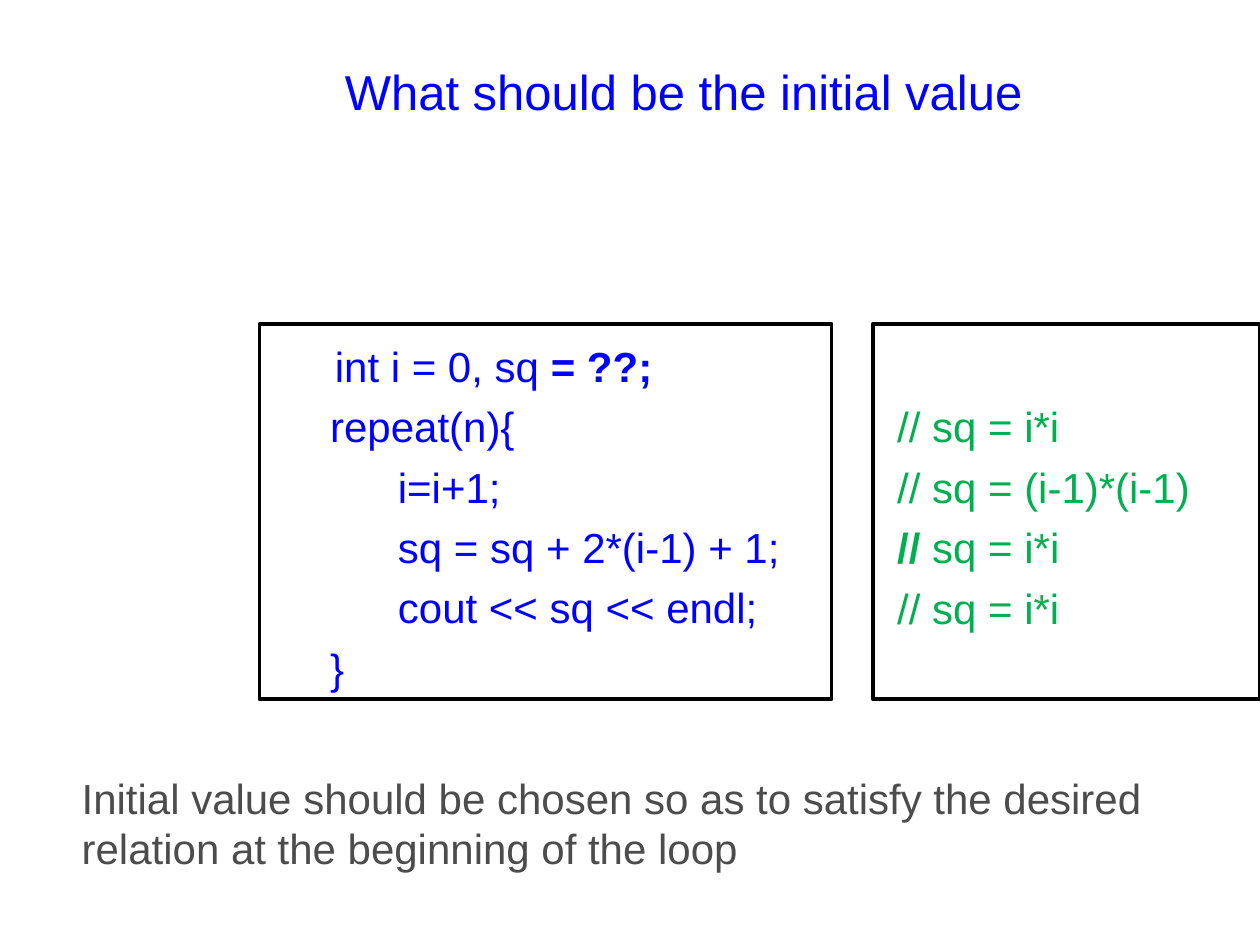
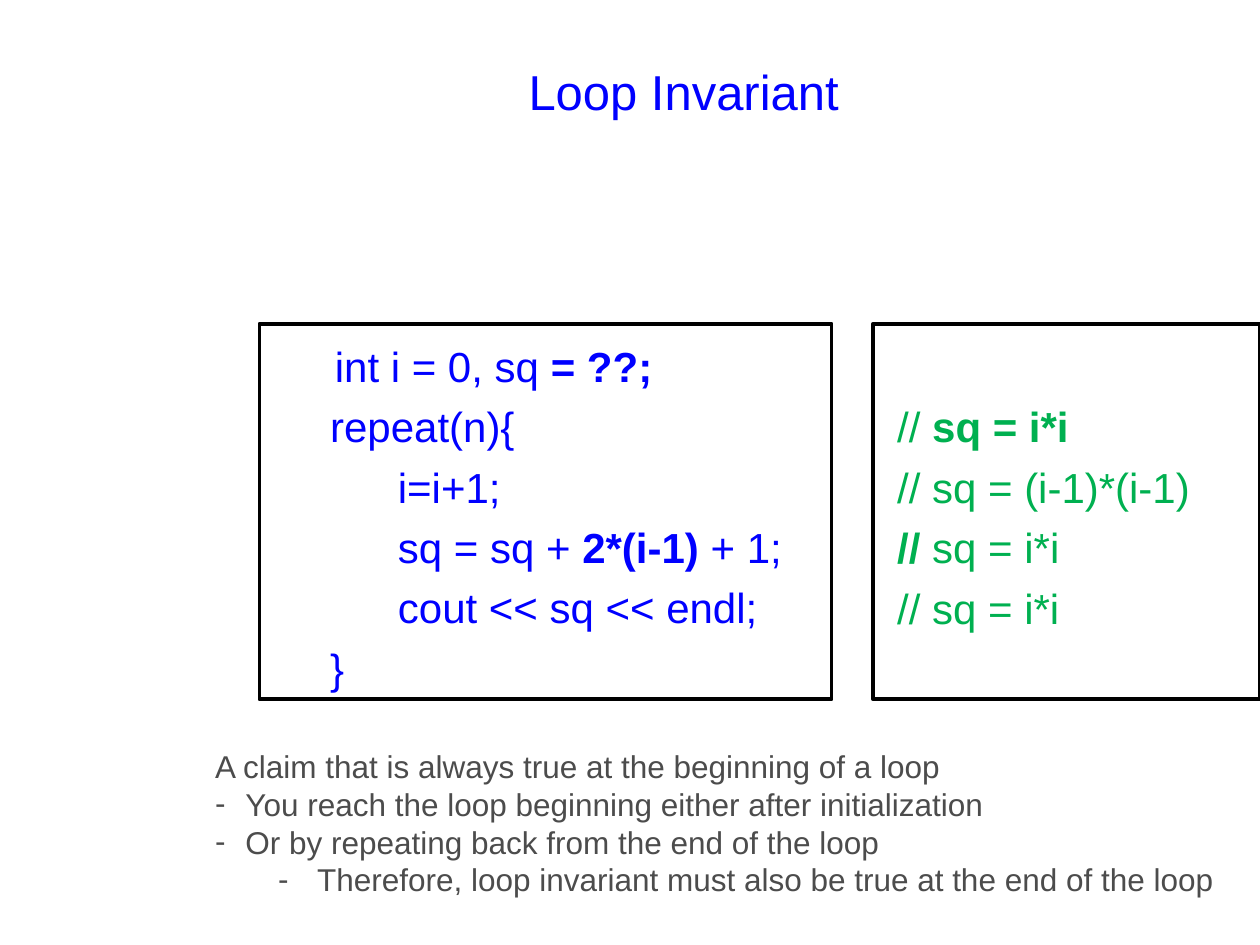
from lxml import etree
from pptx import Presentation
from pptx.dml.color import RGBColor
from pptx.enum.shapes import MSO_SHAPE
from pptx.enum.text import MSO_ANCHOR, MSO_AUTO_SIZE, PP_ALIGN
from pptx.oxml.ns import qn
from pptx.util import Inches, Pt

RECTANGLE = MSO_SHAPE.RECTANGLE
TOP = MSO_ANCHOR.TOP
GROW = MSO_AUTO_SIZE.SHAPE_TO_FIT_TEXT
LEFT, CENTER = PP_ALIGN.LEFT, PP_ALIGN.CENTER

FONT = "Arial"
COLORS = {"code": "0000FF", "comment": "00B050", "note": "4C4C4C", "frame": "000000"}

# Grid of 100 columns by 75 rows
COLUMNS, ROWS = 100, 75
WIDTH, HEIGHT = Inches(10), Inches(7.5)
PANEL_TOP, PANEL_ROWS = 25.7, 29.8
CODE_LEFT, CODE_COLUMNS = 20.6, 45.4
COMMENT_LEFT, COMMENT_COLUMNS = 69.3, 30.7
TAB_STEP = 0.5
CODE_LINE = 0.48  # height of one line of code, in inches


def on_grid(left, top, columns, rows):
    return (int(WIDTH * left / COLUMNS), int(HEIGHT * top / ROWS),
            int(WIDTH * columns / COLUMNS), int(HEIGHT * rows / ROWS))


def add_tabs(paragraph):
    tab_list = etree.SubElement(paragraph._p.get_or_add_pPr(), qn("a:tabLst"))
    for number in range(1, 8):
        etree.SubElement(tab_list, qn("a:tab"),
                         pos=str(Inches(number * TAB_STEP)), algn="l")


def add_dash(paragraph, margin, hanging):
    properties = paragraph._p.get_or_add_pPr()
    properties.set("marL", str(Inches(margin)))
    properties.set("indent", str(-Inches(hanging)))
    color = etree.SubElement(properties, qn("a:buClr"))
    etree.SubElement(color, qn("a:srgbClr"), val=COLORS["note"])
    etree.SubElement(properties, qn("a:buFont"), typeface=FONT)
    etree.SubElement(properties, qn("a:buChar"), char="-")


def add_runs(paragraph, runs, size, color):
    """Runs alternate between regular and bold, starting with regular."""
    for position, text in enumerate(runs):
        if not text:
            continue
        run = paragraph.add_run()
        run.text = text
        run.font.name = FONT
        run.font.size = Pt(size)
        run.font.bold = position % 2 == 1
        run.font.color.rgb = RGBColor.from_string(COLORS[color])


def next_paragraph(frame, index):
    return frame.add_paragraph() if index else frame.paragraphs[0]


def add_panel(slide, left, columns, lines, color, skipped_lines=0):
    panel = slide.shapes.add_shape(
        RECTANGLE, *on_grid(left, PANEL_TOP, columns, PANEL_ROWS))
    panel.shadow.inherit = False
    panel.fill.background()
    panel.line.color.rgb = RGBColor.from_string(COLORS["frame"])
    panel.line.width = Pt(2.25)
    frame = panel.text_frame
    frame.word_wrap = True
    frame.vertical_anchor = TOP
    frame.margin_top = Inches(0.05 + skipped_lines * CODE_LINE)
    for index, runs in enumerate(lines):
        paragraph = next_paragraph(frame, index)
        add_tabs(paragraph)
        paragraph.alignment = LEFT
        paragraph.line_spacing = 1.2
        add_runs(paragraph, runs, 24, color)


def add_text(slide, area, lines, size, color, align=LEFT, wrap=False):
    """Each line is a text with its dash indent (margin, hanging) or None."""
    frame = slide.shapes.add_textbox(*on_grid(*area)).text_frame
    frame.word_wrap = wrap
    frame.auto_size = GROW
    for index, (text, dash) in enumerate(lines):
        paragraph = next_paragraph(frame, index)
        if dash:
            add_dash(paragraph, *dash)
        paragraph.alignment = align
        add_runs(paragraph, [text], size, color)


def add_loop_slide(deck, title, update, first_claim):
    slide = deck.slides.add_slide(deck.slide_layouts[6])
    code = [
        ["\tint i = 0, sq ", "= ??;"],
        ["     repeat(n){"],
        ["\t\ti=i+1;"],
        update,
        ["\t\tcout << sq << endl;"],
        ["     }"],
    ]
    claims = [
        first_claim,
        [" // sq = (i-1)*(i-1)"],
        ["", " // ", "sq = i*i"],
        [" // sq = i*i"],
    ]
    add_panel(slide, CODE_LEFT, CODE_COLUMNS, code, "code")
    add_text(slide, (18.2, 4.4, 72.1, 5.7), [(title, None)], 28, "code", CENTER, True)
    # The first claim stands beside the second line of code
    add_panel(slide, COMMENT_LEFT, COMMENT_COLUMNS, claims, "comment", skipped_lines=1)
    return slide


def main():
    deck = Presentation()
    deck.slide_width, deck.slide_height = WIDTH, HEIGHT

    # Choosing the initial value
    initial_value = add_loop_slide(
        deck, "What should be the initial value",
        ["\t\tsq = sq + 2*(i-1) + 1;"], [" // sq = i*i"])
    add_text(initial_value, (5.5, 60.8, 87, 9), [
        ("Initial value should be chosen so as to satisfy the desired", None),
        ("relation at the beginning of the loop", None),
    ], 24, "note")

    # The loop invariant
    invariant = add_loop_slide(
        deck, "Loop Invariant",
        ["\t\tsq = sq + ", "2*(i-1) ", "+ 1;"], [" // ", "sq = i*i"])
    reason, consequence = (0.24, 0.24), (0.81, 0.31)
    add_text(invariant, (16.1, 58.8, 81.3, 13), [
        ("A claim that is always true at the beginning of a loop", None),
        ("You reach the loop beginning either after initialization", reason),
        ("Or by repeating back from the end of the loop", reason),
        ("Therefore, loop invariant must also be true at the end of the loop", consequence),
    ], 18, "note")

    deck.save("out.pptx")


if __name__ == "__main__":
    main()
